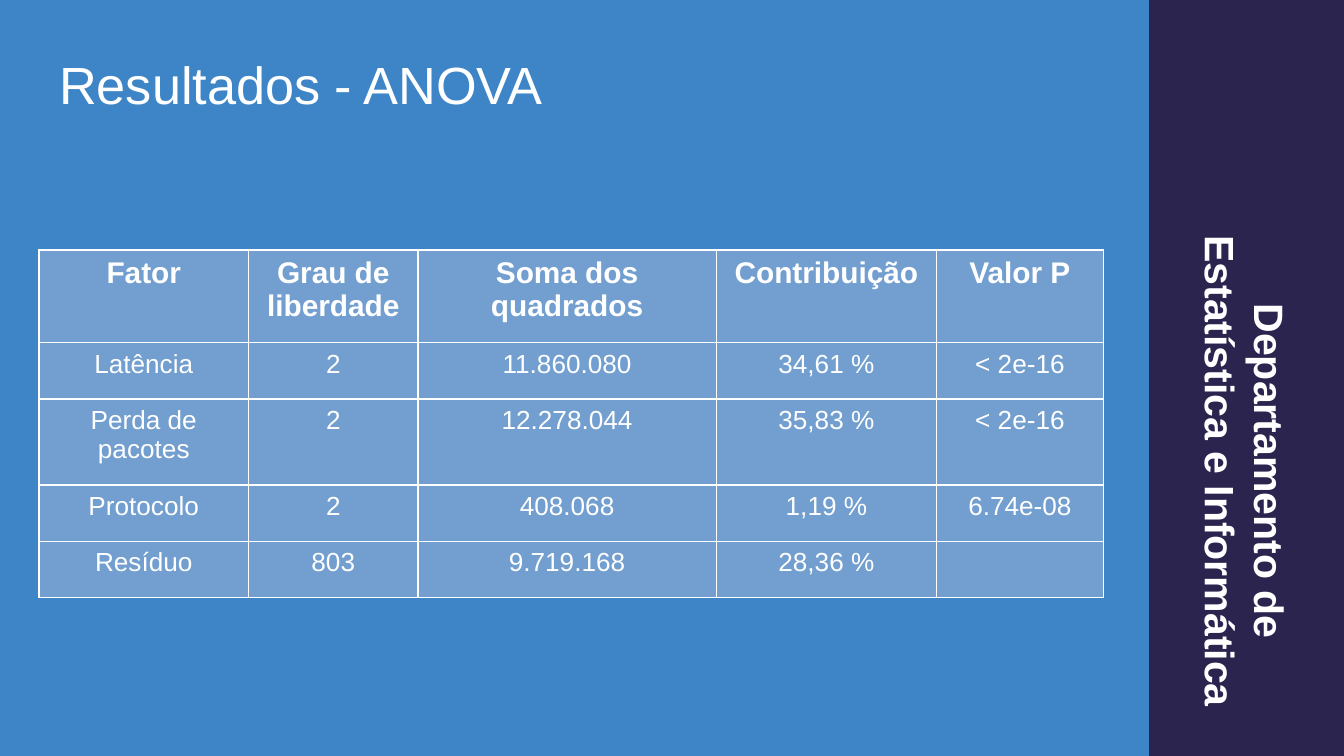
from lxml.etree import SubElement
from pptx import Presentation
from pptx.dml.color import RGBColor
from pptx.enum.shapes import MSO_SHAPE
from pptx.enum.text import MSO_ANCHOR as ANCHOR, MSO_AUTO_SIZE as AUTO, PP_ALIGN as ALIGN
from pptx.oxml.ns import qn
from pptx.util import Inches, Pt

WIDTH = 10
HEIGHT = WIDTH * 9 / 16
BLUE, NAVY, CELL, WHITE = "3D85C6", "2A244E", "729FCF", "FFFFFF"

TITLE = "Resultados - ANOVA"
DEPARTMENT = "Departamento de Estatística e Informática"
ROWS = [
    ("Fator", "Grau de liberdade", "Soma dos quadrados", "Contribuição", "Valor P"),
    ("Latência", "2", "11.860.080", "34,61 %", "< 2e-16"),
    ("Perda de pacotes", "2", "12.278.044", "35,83 %", "< 2e-16"),
    ("Protocolo", "2", "408.068", "1,19 %", "6.74e-08"),
    ("Resíduo", "803", "9.719.168", "28,36 %", ""),
]
COL_WIDTHS = [1.56, 1.26, 2.22, 1.64, 1.24]
ROW_HEIGHTS = [0.69, 0.42, 0.64, 0.42, 0.42]
TABLE_LEFT, TABLE_TOP = 0.29, 1.86
BAND_LEFT = 8.55

FRAME = {"word_wrap": True, "auto_size": AUTO.NONE,
         "margin_left": Inches(0.1), "margin_right": Inches(0.1),
         "margin_top": Inches(0.1), "margin_bottom": Inches(0.1)}
CELL_FRAME = {"margin_left": Inches(0.1), "margin_right": Inches(0.1),
              "margin_top": Inches(0.05), "margin_bottom": Inches(0.05),
              "vertical_anchor": ANCHOR.TOP}


def apply(obj, values):
    for name, value in values.items():
        setattr(obj, name, value)


def paint(fill, color):
    fill.solid()
    fill.fore_color.rgb = RGBColor.from_string(color)


def write(tf, text, size, bold=False, align=ALIGN.CENTER):
    p = tf.paragraphs[0]
    p.alignment = align
    if text:
        p.add_run().text = text
    font = p.runs[0].font if text else p.font
    apply(font, {"name": "Arial", "size": Pt(size), "bold": bold})
    font.color.rgb = RGBColor.from_string(WHITE)


def add_borders(cell, color, width):
    tc_pr = cell._tc.get_or_add_tcPr()
    for side in ("lnL", "lnR", "lnT", "lnB"):
        ln = SubElement(tc_pr, qn(f"a:{side}"), w=str(Pt(width)))
        SubElement(SubElement(ln, qn("a:solidFill")), qn("a:srgbClr"), val=color)


prs = Presentation()
prs.slide_width, prs.slide_height = Inches(WIDTH), Inches(HEIGHT)
s = prs.slides.add_slide(prs.slide_layouts[5])
paint(s.background.fill, BLUE)

band = s.shapes.add_shape(MSO_SHAPE.RECTANGLE, Inches(BAND_LEFT), 0,
                          Inches(WIDTH - BAND_LEFT), Inches(HEIGHT))
band.shadow.inherit = False
paint(band.fill, NAVY)
band.line.fill.background()

department = s.shapes.add_textbox(Inches(7.34), Inches(2.93), Inches(3.86), Inches(1.15))
department.rotation = 90
apply(department.text_frame, {**FRAME, "vertical_anchor": ANCHOR.MIDDLE})
write(department.text_frame, DEPARTMENT, 22, bold=True)

title = s.shapes.title
apply(title, {"left": Inches(0.34), "top": Inches(0.29),
              "width": Inches(9.32), "height": Inches(0.63)})
apply(title.text_frame, {**FRAME, "vertical_anchor": ANCHOR.TOP})
write(title.text_frame, TITLE, 28, align=ALIGN.LEFT)

table = s.shapes.add_table(len(ROWS), len(COL_WIDTHS), Inches(TABLE_LEFT), Inches(TABLE_TOP),
                           Inches(sum(COL_WIDTHS)), Inches(sum(ROW_HEIGHTS))).table
table.horz_banding = False
for column, width in zip(table.columns, COL_WIDTHS):
    column.width = Inches(width)
for i, (values, height) in enumerate(zip(ROWS, ROW_HEIGHTS)):
    table.rows[i].height = Inches(height)
    for j, text in enumerate(values):
        cell = table.cell(i, j)
        apply(cell, CELL_FRAME)
        add_borders(cell, WHITE, 0.75)
        paint(cell.fill, CELL)
        write(cell.text_frame, text, 14 if i else 16, bold=i == 0)

prs.save("out.pptx")
